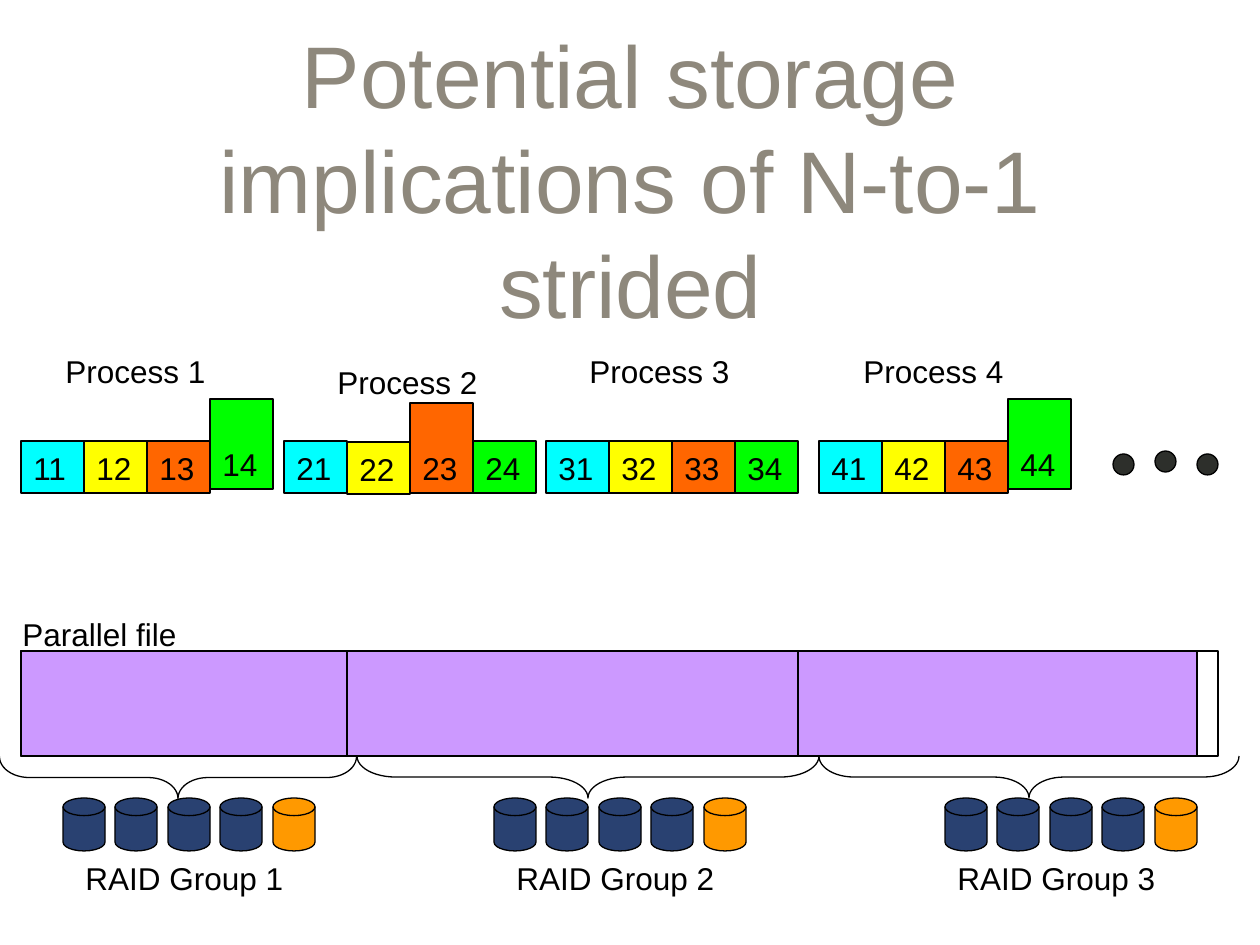
from typing import NamedTuple, Optional

from lxml import etree
from pptx import Presentation
from pptx import util as u
from pptx.dml.color import RGBColor
from pptx.enum import shapes, text

PX = 914400 / 126
FONT = "Arial"
BLACK = RGBColor(0, 0, 0)
GREY = RGBColor(0x8E, 0x88, 0x7C)
LILAC = RGBColor(0xCC, 0x99, 0xFF)
NAVY = RGBColor(0x29, 0x41, 0x71)
AMBER = RGBColor(0xFF, 0x99, 0x00)
DARK = RGBColor(0x2D, 0x2F, 0x2B)
CYAN = RGBColor(0x00, 0xFF, 0xFF)
YELLOW = RGBColor(0xFF, 0xFF, 0x00)
ORANGE = RGBColor(0xFF, 0x66, 0x00)
GREEN = RGBColor(0x00, 0xFF, 0x00)
HUES = (CYAN, YELLOW, ORANGE, GREEN)
KIND = shapes.MSO_SHAPE


class Box(NamedTuple):
    x: int
    y: int
    w: int
    h: int

    def emu(self) -> list[int]:
        return [round(n * PX) for n in self]


class Process(NamedTuple):
    x: int
    name: Box
    tall: dict[int, Box]


class Group(NamedTuple):
    left: int
    right: int
    disk: int
    name: int


PROCS = (
    Process(21, Box(53, 346, 189, 50), {3: Box(210, 399, 63, 90)}),
    Process(284, Box(325, 357, 189, 50),
            {1: Box(347, 442, 63, 52), 2: Box(410, 403, 63, 90)}),
    Process(546, Box(577, 346, 189, 50), {}),
    Process(819, Box(851, 346, 189, 50), {3: Box(1008, 399, 63, 90)}),
)
GROUPS = (
    Group(0, 357, 63, 73),
    Group(357, 819, 494, 504),
    Group(819, 1239, 945, 945),
)
PARTS = (21, 347, 798, 1197)
DOTS = ((1113, 454), (1155, 451), (1197, 454))


def write(shape, words: str, size: int = 18, color: RGBColor = BLACK,
          align=text.PP_ALIGN.LEFT, anchor=text.MSO_ANCHOR.BOTTOM):
    frame = shape.text_frame
    frame.word_wrap = True
    frame.vertical_anchor = anchor
    para = frame.paragraphs[0]
    para.alignment = align
    run = para.add_run()
    run.text = words
    run.font.name = FONT
    run.font.size = u.Pt(size)
    run.font.color.rgb = color
    return para


def label(slide, box: Box, words: str) -> None:
    write(slide.shapes.add_textbox(*box.emu()), words)


def draw(slide, kind, box: Box, fill: Optional[RGBColor] = None):
    shape = slide.shapes.add_shape(kind, *box.emu())
    shape.shadow.inherit = False
    if fill is None:
        shape.fill.background()
    else:
        shape.fill.solid()
        shape.fill.fore_color.rgb = fill
    shape.line.color.rgb = BLACK
    shape.line.width = u.Pt(0.75)
    return shape


def process(slide, num: int, proc: Process) -> None:
    for col, hue in enumerate(HUES):
        box = proc.tall.get(col, Box(proc.x + 63 * col, 441, 63, 52))
        write(draw(slide, KIND.RECTANGLE, box, hue), f"{num}{col + 1}")
    label(slide, proc.name, f"Process {num}")


def group(slide, num: int, raid: Group) -> None:
    span = raid.right - raid.left
    mid = (raid.left + raid.right) // 2
    box = Box(mid - 21, 777 - span // 2, 42, span)
    brace = draw(slide, KIND.LEFT_BRACE, box)
    brace.rotation = 270
    brace.adjustments[0] = span / 504
    brace.adjustments[1] = 0.5
    for col, fill in enumerate([NAVY] * 4 + [AMBER]):
        box = Box(raid.disk + col * 105 // 2, 798, 42, 53)
        draw(slide, KIND.FLOWCHART_MAGNETIC_DISK, box, fill)
    label(slide, Box(raid.name, 853, 231, 50), f"RAID Group {num}")


def main() -> None:
    deck = Presentation()
    deck.slide_width, deck.slide_height = u.Inches(10), u.Inches(7.5)
    slide = deck.slides.add_slide(deck.slide_layouts[6])

    for left, right in zip(PARTS, PARTS[1:]):
        draw(slide, KIND.RECTANGLE, Box(left, 651, right - left, 105), LILAC)
    label(slide, Box(10, 609, 189, 50), "Parallel file")
    for num, proc in enumerate(PROCS, 1):
        process(slide, num, proc)
    for x, y in DOTS:
        draw(slide, KIND.OVAL, Box(x, y, 21, 21), DARK)
    for num, raid in enumerate(GROUPS, 1):
        group(slide, num, raid)
    draw(slide, KIND.RECTANGLE, Box(21, 651, 1197, 105))

    title = slide.shapes.add_textbox(*Box(95, 84, 1071, 189).emu())
    para = write(title, "Potential storage implications of N-to-1 strided", 50,
                 GREY, text.PP_ALIGN.CENTER, text.MSO_ANCHOR.MIDDLE)
    para.line_spacing = u.Pt(60)
    deck.save("out.pptx")


if __name__ == "__main__":
    main()
